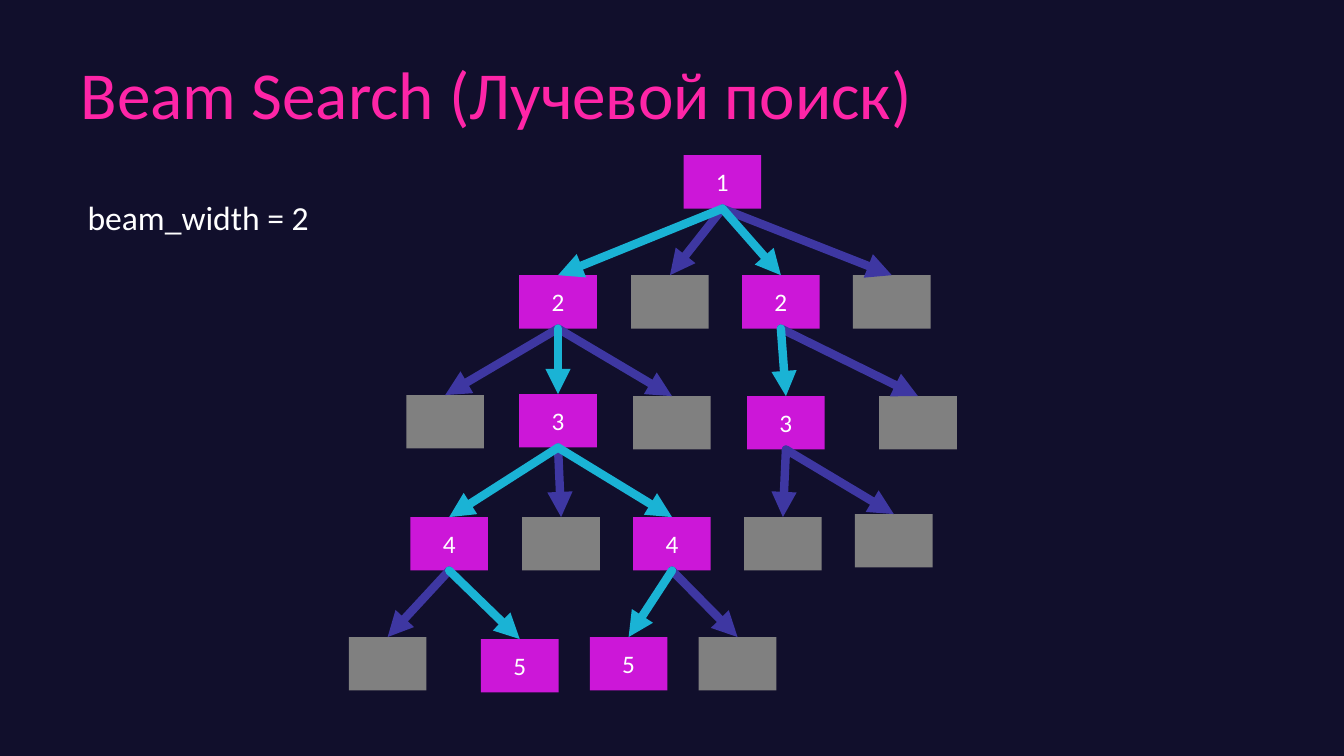
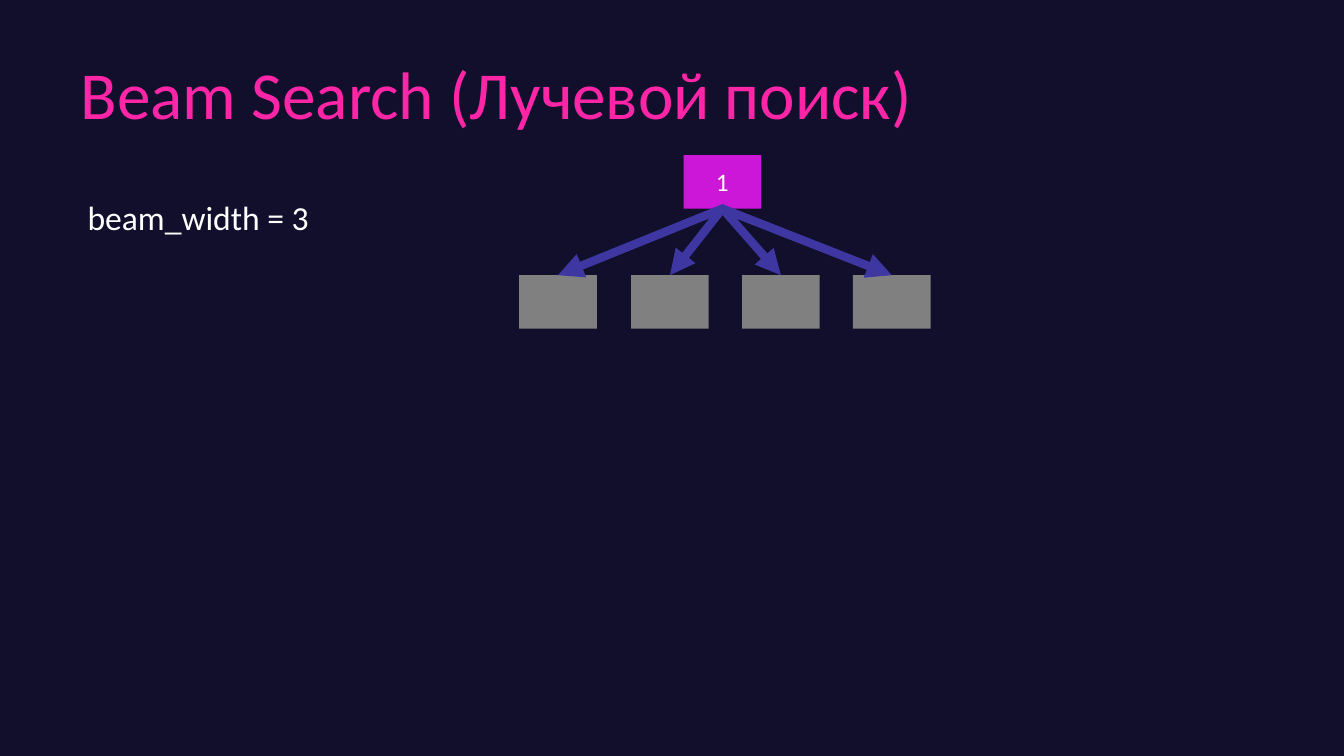
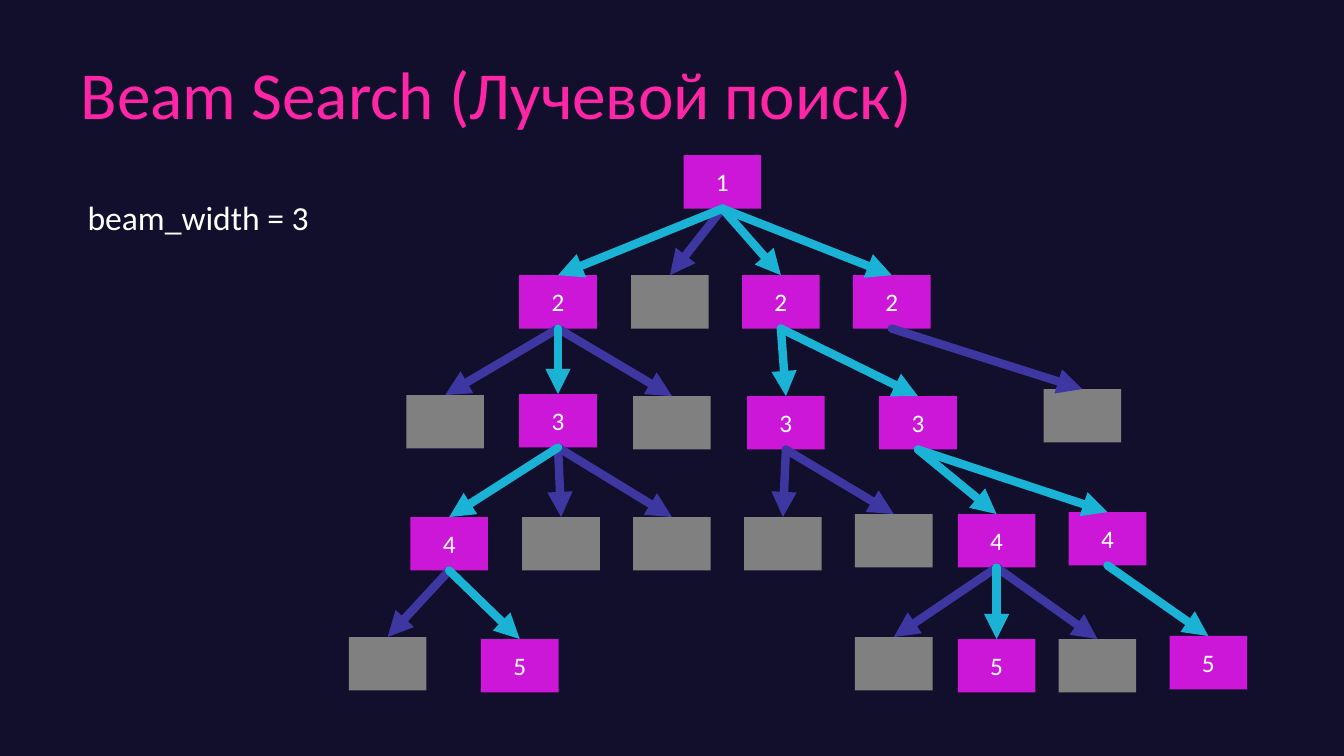
from pptx import Presentation
from pptx.dml.color import RGBColor
from pptx.enum.shapes import MSO_CONNECTOR as Connector, MSO_SHAPE as Shape
from pptx.enum.text import MSO_ANCHOR as Anchor, MSO_AUTO_SIZE as AutoSize, PP_ALIGN as Align
from pptx.oxml.ns import qn
from pptx.util import Emu, Pt
from lxml.etree import SubElement

# Shared style
PX = 9144  # 100 px to the inch
FONT = "Calibri"
BACKGROUND, TITLE_COLOR, WHITE = "110F2C", "FE25A7", "FFFFFF"
KEPT_NODE, DROPPED_NODE = "CC17D8", "808080"
KEPT_EDGE, DROPPED_EDGE = "1AB3D5", "3E37A2"
NODE_SIZE = (77, 53)
TITLE_BOX = (70, 30, 1201, 124)
NOTE_BOX = (77, 190, 242, 50)

# Search tree: node -> (left, top, parent); the digit is the level
TITLE = "Beam Search (Лучевой поиск)"
TREE = {
    "1": (678, 154, None),
    "2a": (515, 273, "1"), "2b": (626, 273, "1"),
    "2c": (736, 273, "1"), "2d": (846, 273, "1"),
    "3a": (403, 392, "2a"), "3b": (515, 391, "2a"), "3c": (628, 393, "2a"),
    "3d": (741, 393, "2c"), "3e": (872, 393, "2c"), "3f": (1035, 386, "2d"),
    "4a": (407, 513, "3b"), "4b": (518, 513, "3b"), "4c": (628, 513, "3b"),
    "4d": (738, 513, "3d"), "4e": (848, 510, "3d"),
    "4f": (950, 510, "3e"), "4g": (1060, 508, "3e"),
    "5a": (346, 632, "4a"), "5b": (477, 634, "4a"),
    "5c": (585, 632, "4c"), "5d": (693, 632, "4c"),
    "5e": (848, 632, "4f"), "5f": (950, 634, "4f"), "5g": (1050, 634, "4f"),
    "5h": (1160, 631, "4g"),
}

# Each slide: beam width, nodes kept in the beam, nodes dropped from it
SLIDES = [
    (2, "1 2a 2c 3b 3d 4a 4c 5b 5c", "2b 2d 3a 3c 3e 4b 4d 4e 5a 5d"),
    (3, "1", "2a 2b 2c 2d"),
    (3, "1 2a 2c 2d 3b 3d 3e 4a 4f 4g 5b 5f 5h",
     "2b 3a 3c 3f 4b 4c 4d 4e 5a 5e 5g"),
]


def px(*lengths):
    return [Emu(length * PX) for length in lengths]


def color(value):
    return RGBColor.from_string(value)


def write(frame, text, size=18, fill=WHITE, align=Align.LEFT, anchor=Anchor.TOP):
    frame.vertical_anchor = anchor
    paragraph = frame.paragraphs[0]
    paragraph.alignment = align
    run = paragraph.add_run()
    run.text = text
    run.font.name, run.font.size = FONT, Pt(size)
    run.font.color.rgb = color(fill)


def add_heading(slide, beam_width):
    title = slide.shapes.title
    title.left, title.top, title.width, title.height = px(*TITLE_BOX)
    write(title.text_frame, TITLE, size=48, fill=TITLE_COLOR, anchor=Anchor.MIDDLE)
    note = slide.shapes.add_textbox(*px(*NOTE_BOX)).text_frame
    note.word_wrap = False
    note.auto_size = AutoSize.SHAPE_TO_FIT_TEXT
    write(note, f"beam_width = {beam_width}", size=24)


def add_node(slide, name, kept):
    left, top, _ = TREE[name]
    node = slide.shapes.add_shape(Shape.RECTANGLE, *px(left, top, *NODE_SIZE))
    node.shadow.inherit = False
    node.fill.solid()
    node.fill.fore_color.rgb = color(KEPT_NODE if kept else DROPPED_NODE)
    node.line.fill.background()
    if kept:
        write(node.text_frame, name[0], align=Align.CENTER, anchor=Anchor.MIDDLE)
    return node


def add_edge(slide, parent, child, fill):
    edge = slide.shapes.add_connector(Connector.STRAIGHT, 0, 0, 0, 0)
    edge.begin_connect(parent, 2)
    edge.end_connect(child, 0)
    edge.line.width = Pt(6)
    edge.line.color.rgb = color(fill)
    # Round cap, arrowhead, no shadow
    line = edge.line._get_or_add_ln()
    line.set("cap", "rnd")
    SubElement(line, qn("a:tailEnd"), type="triangle")
    SubElement(edge._element.spPr, qn("a:effectLst"))


def add_tree(slide, kept, dropped):
    nodes = {name: add_node(slide, name, name in kept) for name in kept + dropped}
    # Kept branches lie over the dropped ones
    for names, fill in ((dropped, DROPPED_EDGE), (kept, KEPT_EDGE)):
        for name in names:
            parent = TREE[name][2]
            if parent:
                add_edge(slide, nodes[parent], nodes[name], fill)


def main():
    presentation = Presentation()
    presentation.slide_width, presentation.slide_height = px(1333, 750)
    background = presentation.slide_master.background.fill
    background.solid()
    background.fore_color.rgb = color(BACKGROUND)
    for beam_width, kept, dropped in SLIDES:
        slide = presentation.slides.add_slide(presentation.slide_layouts[5])
        add_heading(slide, beam_width)
        add_tree(slide, kept.split(), dropped.split())
    presentation.save("out.pptx")


if __name__ == "__main__":
    main()
